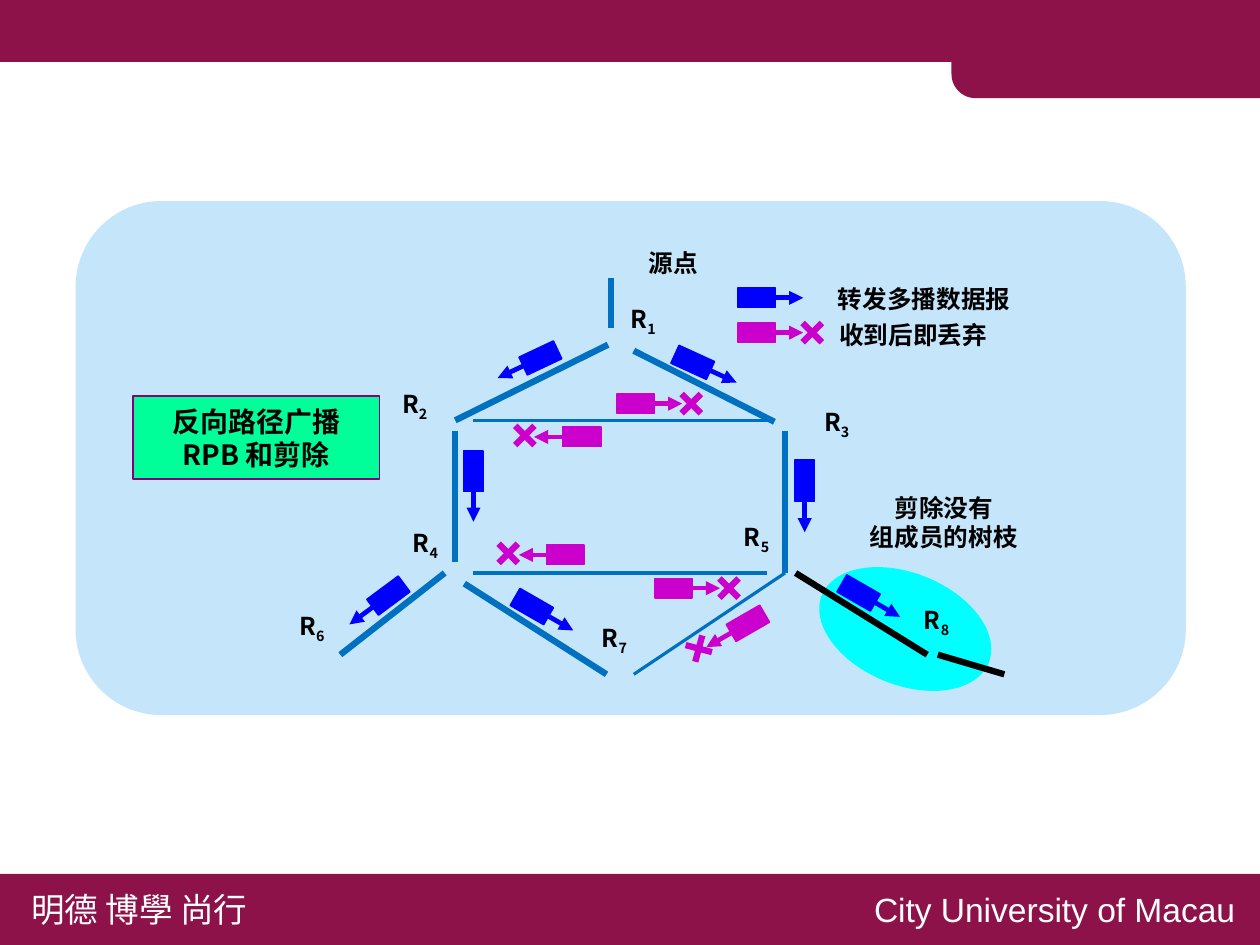
from math import atan2, cos, degrees, hypot, radians, sin

from lxml.etree import SubElement
from pptx import Presentation
from pptx.dml.color import RGBColor
from pptx.enum.shapes import MSO_CONNECTOR as LINK, MSO_SHAPE as SHAPE
from pptx.enum.text import MSO_ANCHOR as ANCHOR, PP_ALIGN as ALIGN
from pptx.oxml.ns import qn
from pptx.util import Pt

PX = 9144  # 100 px to the inch
WIDE, HIGH = 833, 625
HEX = {
    "wine": "8D124A", "panel": "C5E5FB", "cyan": "00FFFF", "mint": "00FF99",
    "purple": "800080", "link": "0070C0", "send": "0000FF", "drop": "CC00CC",
    "black": "000000", "white": "FFFFFF",
}
CJK, LATIN = "Noto Sans CJK SC", "Arial"

# left, top, width, height
BARS = [(-1, -1, 835, 42), (-2, 578, 836, 49)]
TAB, ROUND = (629, 2, 205, 63), 16
PANEL = (50, 133, 734, 340)
PRUNED = (539, 379, 119, 74)
TITLE = ("反向路径广播 RPB 和剪除", (88, 262, 163, 55))

FOOTER = [
    ("明德 博學 尚行", (11, 583, 168, 37), CJK),
    ("City University of Macau", (568, 583, 262, 37), LATIN),
]
LABELS = [
    ("源点", (419, 159, 53, 30)),
    ("转发多播数据报", (544, 183, 134, 30)),
    ("收到后即丢弃", (545, 207, 118, 30)),
    ("剪除没有\n组成员的树枝", (565, 321, 118, 49)),
]
ROUTERS = {
    1: (407, 196), 2: (256, 252), 3: (535, 264), 4: (263, 344),
    5: (482, 340), 6: (188, 399), 7: (388, 407), 8: (601, 395),
}

# x1, y1, x2, y2
LINKS = [
    ("link", 3, [(404, 184, 404, 217), (301, 278, 402, 228),
                 (419, 232, 512, 279), (301, 285, 301, 372),
                 (307, 386, 401, 446), (519, 285, 519, 379),
                 (294, 379, 225, 433)]),
    ("link", 1.5, [(313, 278, 507, 278), (313, 379, 507, 379),
                   (519, 379, 419, 446)]),
    ("black", 3, [(526, 379, 613, 433), (620, 433, 664, 446)]),
]
# arrow tail and tip of each packet
PACKETS = {
    "send": [(532, 311, 532, 352), (313, 305, 313, 345),
             (262, 390, 231, 413), (346, 398, 379, 417),
             (452, 237, 487, 253), (363, 234, 329, 250),
             (562, 389, 595, 408), (494, 197, 531, 197)],
    "drop": [(391, 289, 353, 289), (414, 267, 451, 267),
             (439, 389, 476, 389), (380, 367, 343, 367),
             (500, 409, 467, 428), (494, 220, 531, 220)],
}
# centre x, centre y, tilt
CROSSES = [(457, 267, 0), (347, 288, 0), (482, 389, 0),
           (336, 366, 0), (462, 429, -30), (537, 220, 0)]

deck = Presentation()
deck.slide_width, deck.slide_height = WIDE * PX, HIGH * PX
shapes = deck.slides.add_slide(deck.slide_layouts[6]).shapes


def emu(*nums):
    return [round(n * PX) for n in nums]


def rgb(name):
    return RGBColor.from_string(HEX[name])


def paint(shape, fill, edge=None):
    shape.shadow.inherit = False
    shape.fill.solid()
    shape.fill.fore_color.rgb = rgb(fill)
    if edge:
        shape.line.color.rgb = rgb(edge)
        shape.line.width = Pt(0.75)
    else:
        shape.line.fill.background()
    return shape


def block(kind, box, fill, edge=None):
    return paint(shapes.add_shape(kind, *emu(*box)), fill, edge)


def line(ends, color, width, arrow=False):
    link = shapes.add_connector(LINK.STRAIGHT, *emu(*ends))
    link.line.color.rgb = rgb(color)
    link.line.width = Pt(width)
    if arrow:
        SubElement(link.line._get_or_add_ln(), qn("a:tailEnd"), type="triangle")
    SubElement(link._element.spPr, qn("a:effectLst"))


def style(run, size, color, font=CJK, bold=True):
    run.font.size, run.font.bold, run.font.name = Pt(size), bold, font
    run.font.color.rgb = rgb(color)
    SubElement(run._r.get_or_add_rPr(), qn("a:ea"), typeface=font)


def label(text, box, size=11.7, color="black", font=CJK, bold=True):
    frame = shapes.add_textbox(*emu(*box)).text_frame
    frame.word_wrap = False
    frame.text = text
    for para in frame.paragraphs:
        if "\n" in text:
            para.alignment = ALIGN.CENTER
        for run in para.runs:
            style(run, size, color, font, bold)
    return frame


def router(num, left, top):
    para = label("R", (left, top, 38, 30)).paragraphs[0]
    sub = para.add_run()
    sub.text = str(num)
    style(sub, 11.7, "black")
    sub._r.get_or_add_rPr().set("baseline", "-25000")


def packet(x1, y1, x2, y2, color):
    """Draw a box turned along its arrow, near the arrow's tail."""
    dx, dy = x2 - x1, y2 - y1
    wide, high = hypot(dx, dy) * 0.67, 13
    x, y = x1 + dx * 0.17, y1 + dy * 0.17
    box = block(SHAPE.RECTANGLE, (x - wide / 2, y - high / 2, wide, high),
                color, color)
    box.rotation = degrees(atan2(dy, dx)) % 180
    line((x1, y1, x2, y2), color, 2.25, arrow=True)


def cross(x, y, tilt, reach=9):
    for turn in (45, 135):
        angle = radians(turn + tilt)
        dx, dy = reach * cos(angle), reach * sin(angle)
        line((x - dx, y - dy, x + dx, y + dy), "drop", 3)


def tab(left, top, wide, high):
    """Draw the header tab, rounded on its left side only."""
    right, low = left + wide, top + high
    dots = [(right, top), (right, low)]
    for y, start in ((low - ROUND, 90), (top + ROUND, 180)):
        for turn in range(start, start + 91, 9):
            angle = radians(turn)
            dots.append((left + ROUND + ROUND * cos(angle),
                         y + ROUND * sin(angle)))
    pen = shapes.build_freeform(*emu(*dots[0]))
    pen.add_line_segments([emu(*dot) for dot in dots[1:]])
    paint(pen.convert_to_shape(), "wine")


for bar in BARS:
    block(SHAPE.RECTANGLE, bar, "wine")
tab(*TAB)
for text, box, font in FOOTER:
    label(text, box, 16, "white", font, False)

block(SHAPE.ROUNDED_RECTANGLE, PANEL, "panel").adjustments[0] = 0.167
block(SHAPE.OVAL, PRUNED, "cyan").rotation = 22.1

for color, width, group in LINKS:
    for ends in group:
        line(ends, color, width)
for color, group in PACKETS.items():
    for ends in group:
        packet(*ends, color)
for spot in CROSSES:
    cross(*spot)

for text, box in LABELS:
    label(text, box)
for num, spot in ROUTERS.items():
    router(num, *spot)

text, box = TITLE
frame = block(SHAPE.RECTANGLE, box, "mint", "purple").text_frame
frame.word_wrap = True
frame.vertical_anchor = ANCHOR.MIDDLE
frame.text = text
frame.paragraphs[0].alignment = ALIGN.CENTER
style(frame.paragraphs[0].runs[0], 13.3, "black")

deck.save("out.pptx")
